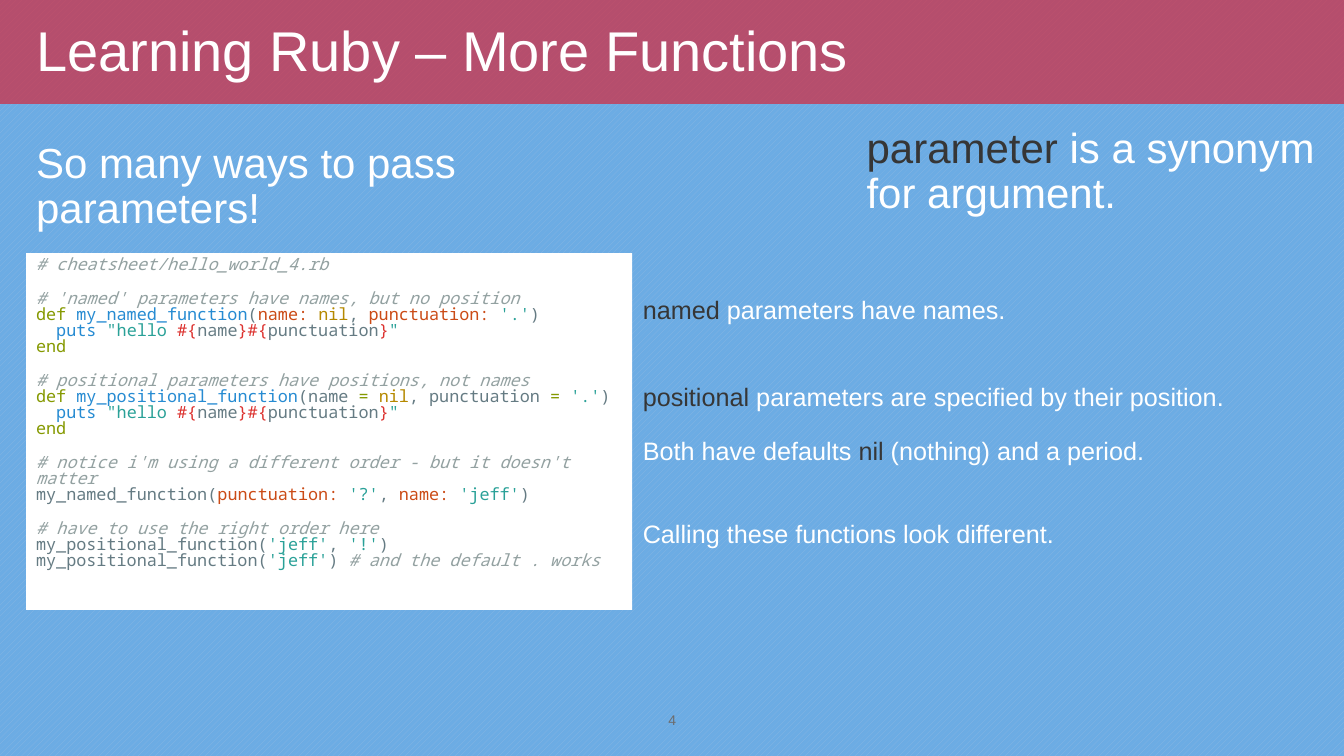
from lxml import etree
from pptx import Presentation
from pptx import util as u
from pptx.dml import color
from pptx.enum import dml, shapes, text
from pptx.oxml import ns

COLORS = {
    "white": "FFFFFF", "dark": "363636", "number": "6C6C6C", "band": "D5273B",
    "stripe": "8BB8E3", "sky": "6CACE4",
    "comment": "93A1A1", "plain": "657B83", "keyword": "859900",
    "function": "268BD2", "label": "CB4B16", "constant": "B58900",
    "string": "2AA198", "escape": "DC322F",
}
WIDTH, HEIGHT = 33.87, 19.05
CODE_SIZE, CODE_SPACING, CODE_GAP, CODE_INDENT = 12, 0.79, 12.94, 14.4
NOTE_LEFT, NOTE_WIDTH = 15.95, 15.93

PUTS = [("puts ", "function"), ('"hello ', "string"), ("#{", "escape"),
        ("name", "plain"), ("}#{", "escape"), ("punctuation", "plain"),
        ("}", "escape"), ('"', "string")]
END = [("end", "keyword")]
CODE_BLOCKS = [
    [[("# cheatsheet/hello_world_4.rb", "comment")]],
    [[("# 'named' parameters have names, but no position", "comment")],
     [("def ", "keyword"), ("my_named_function", "function"), ("(", "plain"),
      ("name: ", "label"), ("nil", "constant"), (", ", "plain"),
      ("punctuation: ", "label"), ("'.'", "string"), (")", "plain")],
     PUTS, END],
    [[("# positional parameters have positions, not names", "comment")],
     [("def ", "keyword"), ("my_positional_function", "function"),
      ("(name ", "plain"), ("= ", "keyword"), ("nil", "constant"),
      (", punctuation ", "plain"), ("= ", "keyword"), ("'.'", "string"),
      (")", "plain")],
     PUTS, END],
    [[("# notice i'm using a different order - but it doesn't matter", "comment")],
     [("my_named_function(", "plain"), ("punctuation: ", "label"),
      ("'?'", "string"), (", ", "plain"), ("name: ", "label"),
      ("'jeff'", "string"), (")", "plain")]],
    [[("# have to use the right order here", "comment")],
     [("my_positional_function(", "plain"), ("'jeff'", "string"),
      (", ", "plain"), ("'!'", "string"), (")", "plain")],
     [("my_positional_function(", "plain"), ("'jeff'", "string"),
      (") ", "plain"), ("# and the default . works", "comment")]],
]
NOTES = [
    (7.39, 1.63, [[("named ", "dark"), ("parameters have names.", "white")]]),
    (9.58, 2.49, [[("positional ", "dark"),
                   ("parameters are specified by their position.", "white")],
                  [("Both have defaults ", "white"), ("nil", "dark"),
                   (" (nothing) and a period.", "white")]]),
    (13.03, 1.63, [[("Calling these functions look different.", "white")]]),
]


def rgb(name):
    return color.RGBColor.from_string(COLORS[name])


def add_rect(s, left, top, width, height, fill=None):
    sp = s.shapes.add_shape(shapes.MSO_SHAPE.RECTANGLE, u.Cm(left), u.Cm(top),
                            u.Cm(width), u.Cm(height))
    sp.shadow.inherit = False
    sp.line.fill.background()
    if fill:
        sp.fill.solid()
        sp.fill.fore_color.rgb = rgb(fill)
    return sp


def add_backdrop(s):
    fill = add_rect(s, 0, 0, WIDTH, HEIGHT).fill
    fill.patterned()
    fill.pattern = dml.MSO_PATTERN.WIDE_UPWARD_DIAGONAL
    fill.fore_color.rgb = rgb("stripe")
    fill.back_color.rgb = rgb("sky")


def add_band(s):
    sp = add_rect(s, 0, 0, WIDTH, 2.62, "band")
    srgb = sp.fill._xPr.find(".//" + ns.qn("a:srgbClr"))
    etree.SubElement(srgb, ns.qn("a:alpha"), val="70000")


def add_runs(p, runs, size, font="Arial", spacing=0.9):
    p.line_spacing = spacing
    for words, name in runs:
        r = p.add_run()
        r.text = words
        r.font.size = u.Pt(size)
        r.font.name = font
        r.font.italic = name == "comment"
        r.font.color.rgb = rgb(name)


def add_text(s, left, top, width, height, lines, size, gap=0,
             anchor=text.MSO_ANCHOR.TOP, align=text.PP_ALIGN.LEFT):
    tf = s.shapes.add_textbox(u.Cm(left), u.Cm(top), u.Cm(width),
                              u.Cm(height)).text_frame
    tf.word_wrap = True
    tf.vertical_anchor = anchor
    for i, runs in enumerate(lines):
        p = tf.add_paragraph() if i else tf.paragraphs[0]
        p.alignment = align
        p.space_before = u.Pt(gap if i else 0)
        add_runs(p, runs, size)


def add_code(s, left, top, width, height, blocks):
    tf = add_rect(s, left, top, width, height, "white").text_frame
    tf.word_wrap = True
    tf.vertical_anchor = text.MSO_ANCHOR.TOP
    p = tf.paragraphs[0]
    for b, block in enumerate(blocks):
        for i, runs in enumerate(block):
            if b or i:
                p = tf.add_paragraph()
            p.alignment = text.PP_ALIGN.LEFT
            p.space_before = u.Pt(CODE_GAP if b and not i else 0)
            if runs is PUTS:
                p._p.get_or_add_pPr().set("marL", str(u.Pt(CODE_INDENT)))
            add_runs(p, runs, CODE_SIZE, "Noto Sans Mono", CODE_SPACING)


def main():
    prs = Presentation()
    prs.slide_width, prs.slide_height = u.Cm(WIDTH), u.Cm(HEIGHT)
    s = prs.slides.add_slide(prs.slide_layouts[6])
    add_backdrop(s)
    add_text(s, 13.13, 17.65, 7.62, 1.02, [[("4", "number")]], 10,
             anchor=text.MSO_ANCHOR.MIDDLE, align=text.PP_ALIGN.CENTER)
    add_band(s)
    add_text(s, 0.66, 0, 27.69, 2.67,
             [[("Learning Ruby – More Functions", "white")]], 40,
             anchor=text.MSO_ANCHOR.MIDDLE)
    add_text(s, 0.66, 3.45, 15.67, 2.26,
             [[("So many ways to pass parameters!", "white")]], 30)
    add_code(s, 0.66, 6.38, 15.27, 8.99, CODE_BLOCKS)
    add_text(s, 21.59, 3.07, 11.99, 3.1,
             [[("parameter", "dark"), (" is a synonym", "white")],
              [("for argument.", "white")]], 30)
    for top, height, lines in NOTES:
        add_text(s, NOTE_LEFT, top, NOTE_WIDTH, height, lines, 18, gap=19)
    prs.save("out.pptx")


if __name__ == "__main__":
    main()
